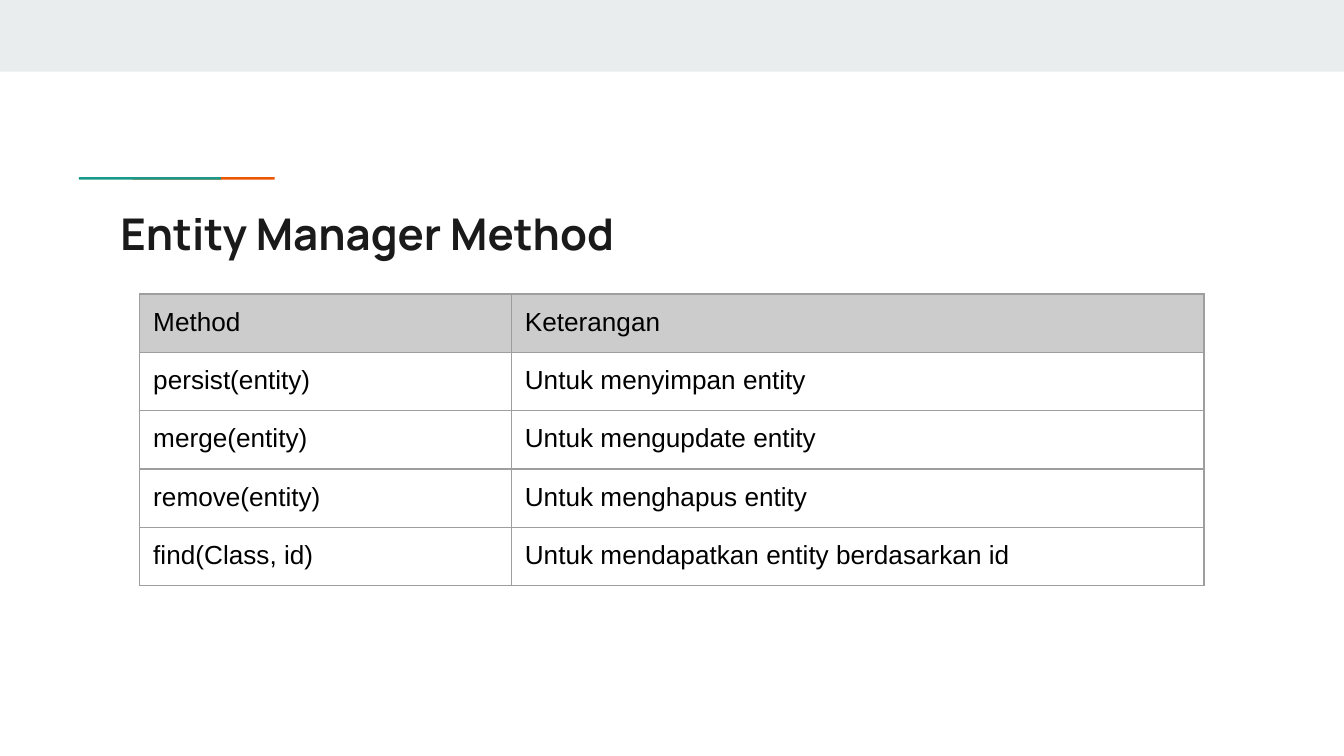
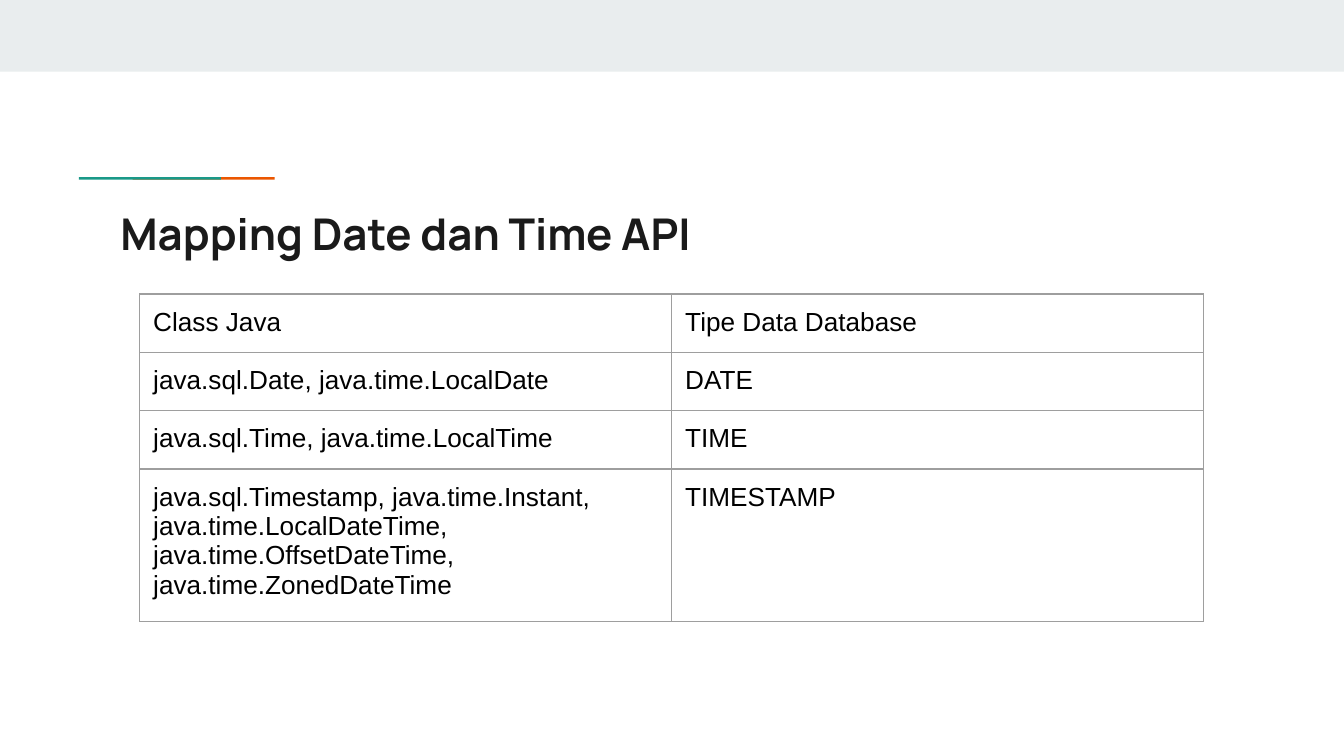
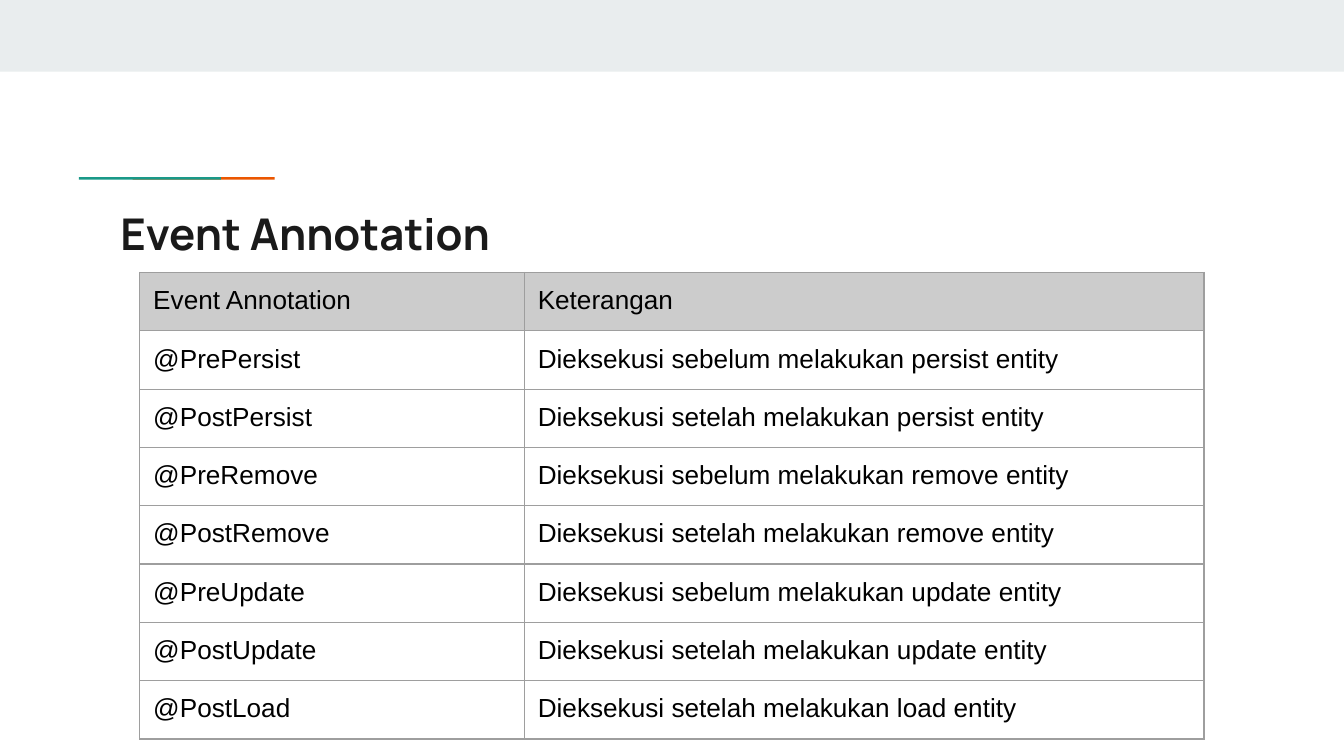
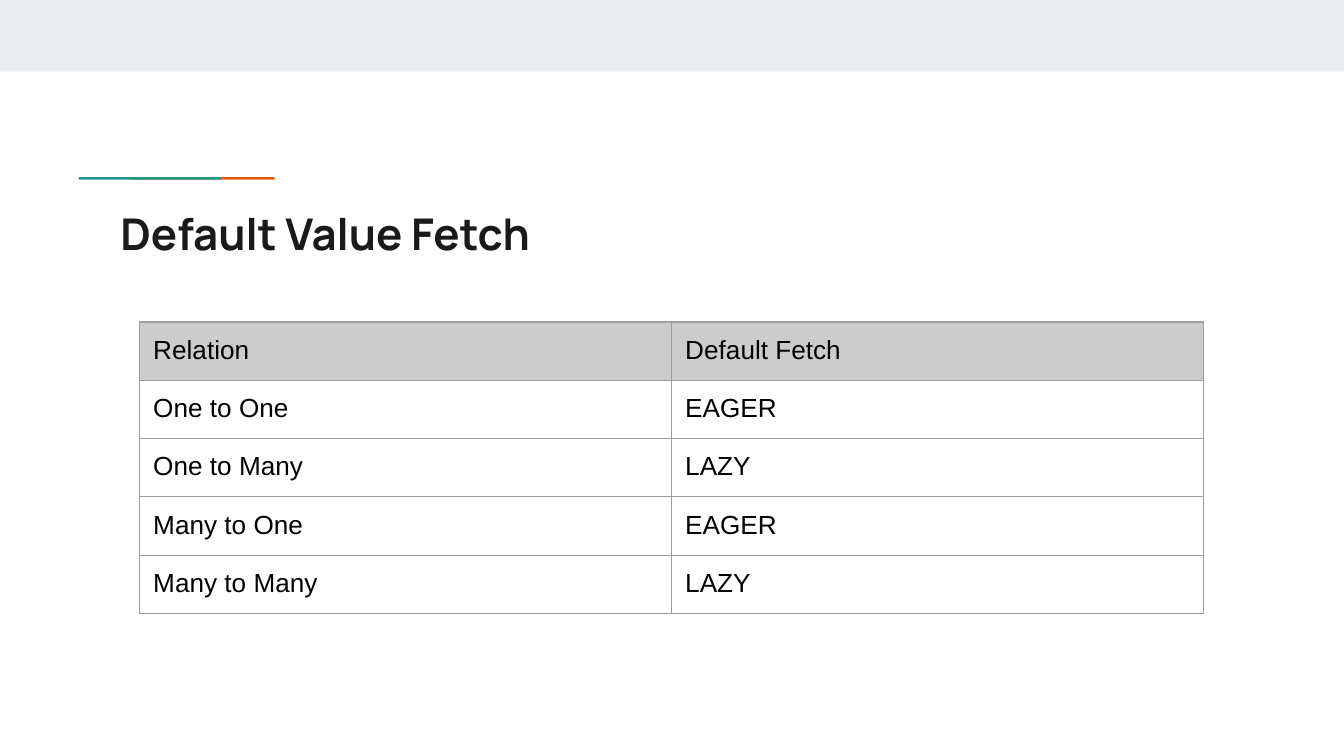
"""Build four slides of reference tables on a shared banded design."""
from lxml import etree
from pptx import Presentation
from pptx.dml.color import RGBColor
from pptx.enum import shapes, text
from pptx.oxml import ns
from pptx.util import Pt

BAND, TEAL, ORANGE = "E9EDEE", "1A9988", "EB5600"
HEADER, BORDER = "CCCCCC", "9E9E9E"
TITLE_FONT = dict(name="Manrope", size=Pt(23.4), bold=True, color="1A1A1A")
CELL_FONT = dict(name="Arial", size=Pt(14), bold=False, color="000000")
INSETS = ("margin_left", "margin_top", "margin_right", "margin_bottom")
INSET, ROW_HEIGHT, TABLE_LEFT = 7.2, 30, 74.9
ACCENT_LEFT, ACCENT_TOP, ACCENT_WIDTH = 78.5, 80.8, 32.4
BAR_WIDTH, BAR_HEIGHT, BAR_STEP = 1.4, 29.5, 11.16

event_rows = [
    (f"@{prefix}{action}", f"Dieksekusi {moment} melakukan {action.lower()} entity")
    for action in ("Persist", "Remove", "Update")
    for prefix, moment in (("Pre", "sebelum"), ("Post", "setelah"))
]
SLIDES = [
    ("Entity Manager Method", 157.5, (199.1, 371), HEADER, [
        ("Method", "Keterangan"),
        ("persist(entity)", "Untuk menyimpan entity"),
        ("merge(entity)", "Untuk mengupdate entity"),
        ("remove(entity)", "Untuk menghapus entity"),
        ("find(Class, id)", "Untuk mendapatkan entity berdasarkan id"),
    ]),
    ("Mapping Date dan Time API", 157.5, (285, 285), None, [
        ("Class Java", "Tipe Data Database"),
        ("java.sql.Date, java.time.LocalDate", "DATE"),
        ("java.sql.Time, java.time.LocalTime", "TIME"),
        ("java.sql.Timestamp, java.time.Instant, java.time.LocalDateTime, "
         "java.time.OffsetDateTime, java.time.ZonedDateTime", "TIMESTAMP"),
    ]),
    ("Event Annotation", 146, (206, 364.1), HEADER, [
        ("Event Annotation", "Keterangan"),
        *event_rows,
        ("@PostLoad", "Dieksekusi setelah melakukan load entity"),
    ]),
    ("Default Value Fetch", 172.5, (285, 285), HEADER, [
        ("Relation", "Default Fetch"),
        ("One to One", "EAGER"),
        ("One to Many", "LAZY"),
        ("Many to One", "EAGER"),
        ("Many to Many", "LAZY"),
    ]),
]


def add_bar(parent, box, color, rotation=0):
    sp = parent.shapes.add_shape(shapes.MSO_SHAPE.RECTANGLE, *map(Pt, box))
    sp.rotation = rotation
    sp.shadow.inherit = False
    sp.fill.solid()
    sp.fill.fore_color.rgb = RGBColor.from_string(color)
    sp.line.fill.background()


def write(holder, tf, content, style):
    for inset in INSETS:
        setattr(holder, inset, Pt(INSET))
    p = tf.paragraphs[0]
    r = p.add_run()
    r.text = content
    for key, value in style.items():
        if key == "color":
            r.font.color.rgb = RGBColor.from_string(value)
        else:
            setattr(r.font, key, value)
    etree.SubElement(p._p, ns.qn("a:endParaRPr"), sz=str(int(style["size"].pt * 100)))


prs = Presentation()
prs.slide_width, prs.slide_height = Pt(720), Pt(405)

for title, top, widths, header_fill, rows in SLIDES:
    s = prs.slides.add_slide(prs.slide_layouts[6])
    add_bar(s, (0, 0, 720, 38.4), BAND)
    accent = s.shapes.add_group_shape()
    for step, color in ((BAR_STEP, ORANGE), (0, TEAL)):
        box = (ACCENT_LEFT + step, ACCENT_TOP, BAR_WIDTH, BAR_HEIGHT)
        add_bar(accent, box, color, 270)
    accent.left, accent.width = Pt(ACCENT_LEFT), Pt(ACCENT_WIDTH)

    tf = s.shapes.add_textbox(Pt(57.4), Pt(103.7), Pt(605.5), Pt(42.5)).text_frame
    tf.word_wrap = True
    tf.vertical_anchor = text.MSO_ANCHOR.MIDDLE
    write(tf, tf, title, TITLE_FONT)

    table = s.shapes.add_table(
        len(rows), len(widths), Pt(TABLE_LEFT), Pt(top),
        Pt(sum(widths)), Pt(ROW_HEIGHT * len(rows))).table
    table.first_row = table.horz_banding = False
    for column, width in zip(table.columns, widths):
        column.width = Pt(width)
    for i, row in enumerate(rows):
        table.rows[i].height = Pt(ROW_HEIGHT)
        for j, content in enumerate(row):
            cell = table.cell(i, j)
            write(cell, cell.text_frame, content, CELL_FONT)
            tc_pr = cell._tc.get_or_add_tcPr()
            for side in ("lnL", "lnR", "lnT", "lnB"):
                ln = etree.SubElement(tc_pr, ns.qn(f"a:{side}"), w=str(Pt(0.75)))
                fill = etree.SubElement(ln, ns.qn("a:solidFill"))
                etree.SubElement(fill, ns.qn("a:srgbClr"), val=BORDER)
            if i == 0 and header_fill:
                cell.fill.solid()
                cell.fill.fore_color.rgb = RGBColor.from_string(header_fill)
            else:
                cell.fill.background()

prs.save("out.pptx")
